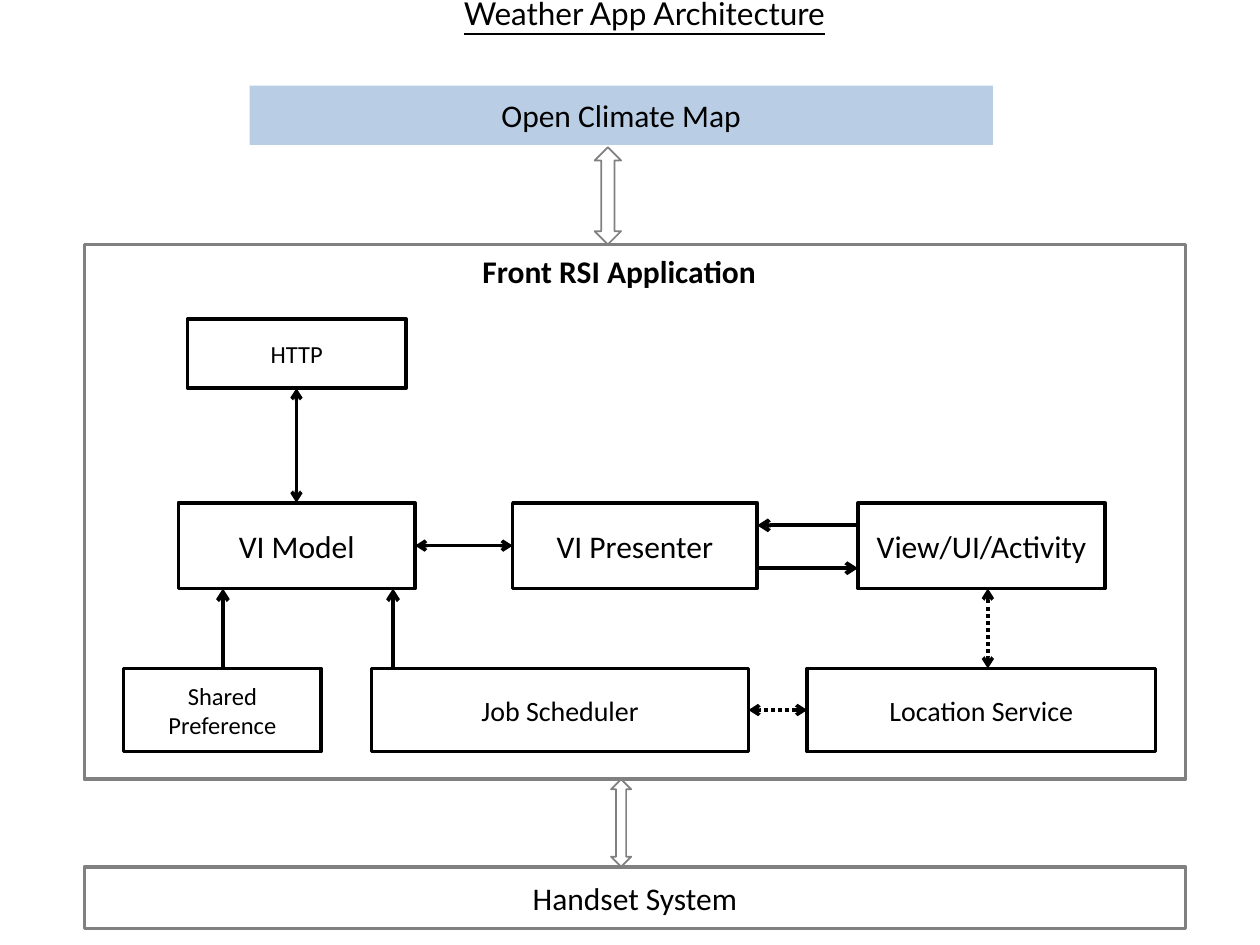
from dataclasses import dataclass

from lxml.etree import SubElement
from pptx import Presentation
from pptx.dml.color import RGBColor
from pptx.enum.dml import MSO_LINE
from pptx.enum.shapes import MSO_CONNECTOR, MSO_SHAPE
from pptx.enum.text import MSO_ANCHOR, PP_ALIGN
from pptx.oxml.ns import qn
from pptx.util import Pt


@dataclass(frozen=True)
class Theme:
    ink: RGBColor = RGBColor(0x00, 0x00, 0x00)
    frame: RGBColor = RGBColor(0x80, 0x80, 0x80)
    service: RGBColor = RGBColor(0xB9, 0xCD, 0xE5)
    body_font: str = "Calibri"
    title_font: str = "Lato"
    large: int = 18
    medium: int = 16
    small: int = 14
    thin: float = 1
    regular: float = 2
    heavy: float = 2.25


class Diagram:
    def __init__(self, slide, theme):
        self.slide = slide
        self.theme = theme

    def set_text(self, shape, text, align=PP_ALIGN.CENTER, anchor=MSO_ANCHOR.MIDDLE,
                 wrap=True, **font_format):
        frame = shape.text_frame
        frame.word_wrap = wrap
        frame.vertical_anchor = anchor
        paragraph = frame.paragraphs[0]
        paragraph.alignment = align
        run = paragraph.add_run()
        run.text = text
        values = {"name": self.theme.body_font, "size": Pt(self.theme.large)} | font_format
        for name, value in values.items():
            setattr(run.font, name, value)
        run.font.color.rgb = self.theme.ink

    def label(self, text, box, **text_format):
        shape = self.slide.shapes.add_textbox(*map(Pt, box))
        self.set_text(shape, text, **text_format)

    def stroke(self, line, color, width):
        line.color.rgb = color
        line.width = Pt(width)

    def block(self, box, text="", kind=MSO_SHAPE.RECTANGLE, fill=None,
              color=None, width=None, size=None):
        shape = self.slide.shapes.add_shape(kind, *map(Pt, box))
        shape.shadow.inherit = False
        if fill is None:
            shape.fill.background()
            self.stroke(shape.line, color or self.theme.ink, width or self.theme.regular)
        else:
            shape.fill.solid()
            shape.fill.fore_color.rgb = fill
            shape.line.fill.background()
        if text:
            self.set_text(shape, text, size=Pt(size or self.theme.large))

    def exchange(self, box):
        self.block(box, kind=MSO_SHAPE.UP_DOWN_ARROW,
                   color=self.theme.frame, width=self.theme.thin)

    def arrow(self, start, end, both=False, dotted=False):
        connector = self.slide.shapes.add_connector(
            MSO_CONNECTOR.STRAIGHT, *map(Pt, (*start, *end)))
        line = connector.line
        self.stroke(line, self.theme.ink, self.theme.regular if both else self.theme.heavy)
        if dotted:
            line.dash_style = MSO_LINE.ROUND_DOT
        properties = connector.element.spPr
        outline = properties.find(qn("a:ln"))
        for end_name in ("a:headEnd", "a:tailEnd") if both else ("a:tailEnd",):
            SubElement(outline, qn(end_name), type="arrow")
        SubElement(properties, qn("a:effectLst"))


def main():
    presentation = Presentation()
    presentation.slide_width = Pt(720)
    presentation.slide_height = Pt(540)
    slide = presentation.slides.add_slide(presentation.slide_layouts[6])
    theme = Theme()
    diagram = Diagram(slide, theme)

    frame_left, frame_width = 48.2, 629.3
    frame_top, frame_bottom = 139.7, 445.3
    core_top, core_height = 287.3, 49
    core_bottom = core_top + core_height
    support_top, support_height = 382, 47.5

    diagram.label("Weather App Architecture", (167, -10, 402.5, 35.3),
                  name=theme.title_font, underline=True)
    diagram.block((142.6, 49, 424.8, 33.8), "Open Climate Map", fill=theme.service)
    diagram.block((frame_left, frame_top, frame_width, frame_bottom - frame_top),
                  color=theme.frame)
    diagram.block((frame_left, 495.4, frame_width, 35.3), "Handset System",
                  color=theme.frame)
    diagram.label("Front RSI Application", (268.6, 140.4, 172, 28.8),
                  align=PP_ALIGN.LEFT, anchor=MSO_ANCHOR.TOP, wrap=False, bold=True)

    for text, left, width in (
        ("VI Model", 102, 135.2),
        ("VI Presenter", 293, 139.7),
        ("View/UI/Activity", 490.3, 141.2),
    ):
        diagram.block((left, core_top, width, core_height), text)

    for text, left, width, size in (
        ("Shared Preference", 70.6, 113, theme.small),
        ("Job Scheduler", 212.4, 215.3, theme.medium),
        ("Location Service", 461.3, 199, theme.medium),
    ):
        diagram.block((left, support_top, width, support_height), text, size=size)

    diagram.block((107.2, 182.2, 124.8, 39.6), "HTTP", size=theme.small)

    diagram.exchange((339.8, 84.2, 15.1, 55.5))
    diagram.exchange((349.2, frame_bottom, 11.5, 50))

    diagram.arrow((490.3, 300.2), (432.7, 300.2))
    diagram.arrow((432.7, 324.7), (490.3, 324.7))
    for x in (127.4, 224.6):
        diagram.arrow((x, support_top), (x, core_bottom))

    core_middle = core_top + core_height / 2
    support_middle = support_top + support_height / 2
    diagram.arrow((237.2, core_middle), (293, core_middle), both=True)
    diagram.arrow((169.4, 221.8), (169.4, core_top), both=True)
    diagram.arrow((564.5, core_bottom), (564.5, support_top), both=True, dotted=True)
    diagram.arrow((461.3, support_middle), (427.7, support_middle), both=True, dotted=True)

    presentation.save("out.pptx")


if __name__ == "__main__":
    main()
